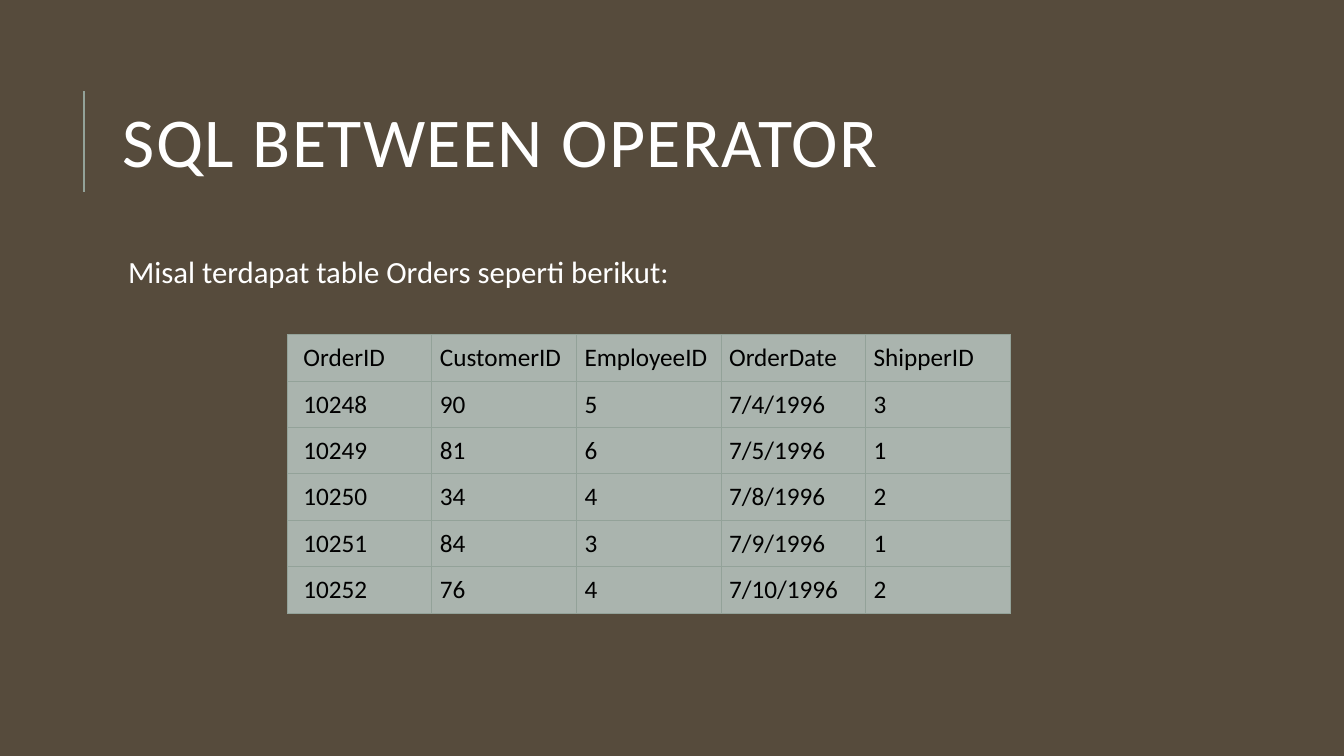
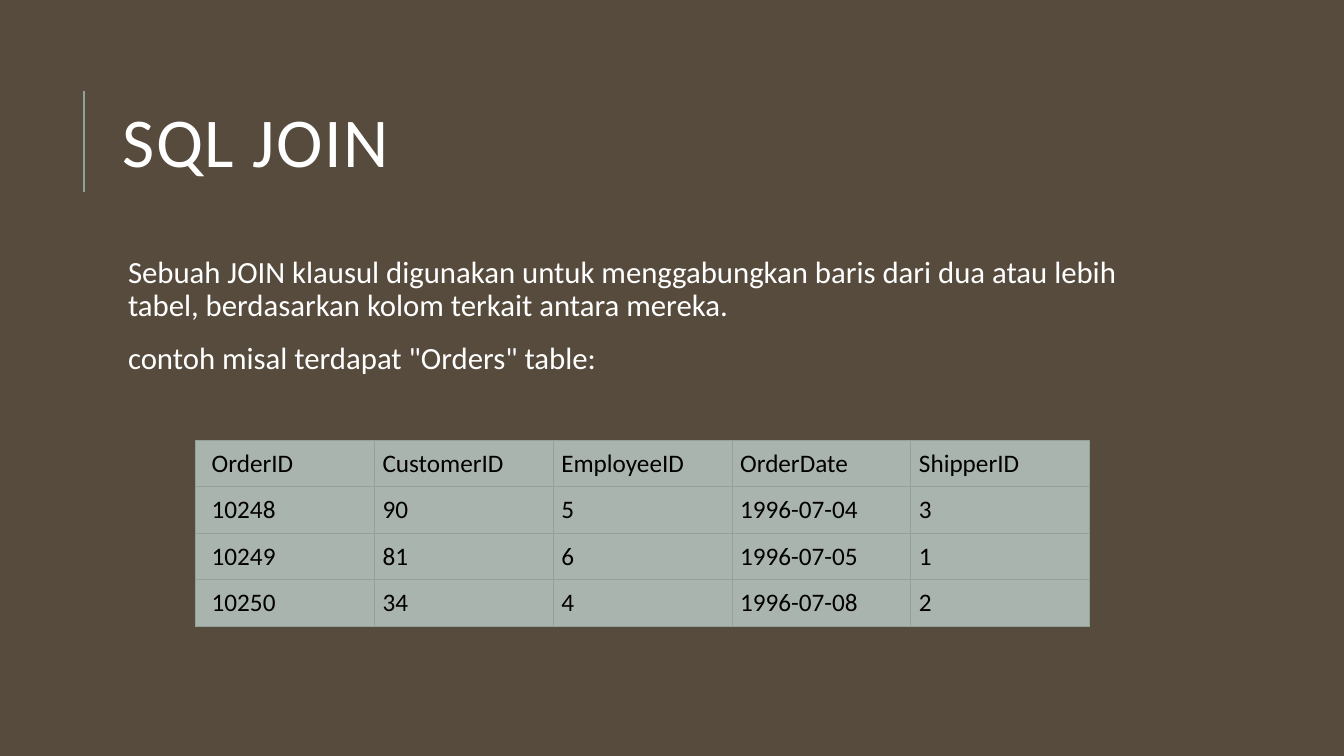
from lxml.etree import SubElement
from pptx import Presentation
from pptx.dml.color import RGBColor
from pptx.enum.shapes import MSO_CONNECTOR
from pptx.enum.text import MSO_ANCHOR
from pptx.oxml.ns import qn
from pptx.util import Inches, Pt

WIDE, HIGH = 13.33, 7.5
BROWN, SAGE, PALE = "564B3C", "93A299", "AAB4AE"
WHITE, BLACK = "FFFFFF", "000000"
LEFT, SPAN = 1.12, 10.63
RULE_X, RULE_TOP, RULE_END = 0.83, 0.9, 1.9
ROW, PAD = 0.46, 0.08

TITLE = {
    "area": (LEFT, 0.64, SPAN, 1.64),
    "frame": {"vertical_anchor": MSO_ANCHOR.MIDDLE},
    "para": {"line_spacing": 0.8},
    "size": 50,
    "track": 1,
}
BODY = {
    "area": (LEFT, 2.5, SPAN, 4.4),
    "frame": {
        "margin_left": Inches(0.15),
        "margin_right": Inches(0.05),
        "margin_top": Inches(0.05),
        "margin_bottom": Inches(0.05),
    },
    "para": {"line_spacing": 0.9, "space_after": Pt(2)},
    "gap": 12,
    "size": 22,
}

HEAD = ("OrderID", "CustomerID", "EmployeeID", "OrderDate", "ShipperID")
SLIDES = [
    {
        "title": "SQL BETWEEN OPERATOR",
        "body": ["Misal terdapat table Orders seperti berikut:"],
        "spot": (2.85, 3.32),
        "col": 1.434,
        "rows": [
            HEAD,
            ("10248", "90", "5", "7/4/1996", "3"),
            ("10249", "81", "6", "7/5/1996", "1"),
            ("10250", "34", "4", "7/8/1996", "2"),
            ("10251", "84", "3", "7/9/1996", "1"),
            ("10252", "76", "4", "7/10/1996", "2"),
        ],
    },
    {
        "title": "SQL JOIN",
        "body": [
            "Sebuah JOIN klausul digunakan untuk menggabungkan baris dari dua "
            "atau lebih tabel, berdasarkan kolom terkait antara mereka.",
            'contoh misal terdapat "Orders" table:',
        ],
        "spot": (1.94, 4.37),
        "col": 1.774,
        "rows": [
            HEAD,
            ("10248", "90", "5", "1996-07-04", "3"),
            ("10249", "81", "6", "1996-07-05", "1"),
            ("10250", "34", "4", "1996-07-08", "2"),
        ],
    },
]


def paint(color, code):
    color.rgb = RGBColor.from_string(code)


def fill(part, code):
    part.solid()
    paint(part.fore_color, code)


def apply(item, values):
    for name, value in values.items():
        setattr(item, name, value)


def style(font, size, code):
    apply(font, {"name": "Calibri", "size": Pt(size), "bold": False})
    paint(font.color, code)


def add_text(slide, lines, look):
    box = slide.shapes.add_textbox(*map(Inches, look["area"]))
    frame = box.text_frame
    apply(frame, {"word_wrap": True, **look["frame"]})
    for i, line in enumerate(lines):
        para = frame.add_paragraph() if i else frame.paragraphs[0]
        apply(para, look["para"])
        if i:
            para.space_before = Pt(look["gap"])
        run = para.add_run()
        run.text = line
        style(run.font, look["size"], WHITE)
        if "track" in look:
            run.font._element.set("spc", str(look["track"] * 100))


def add_rule(slide):
    x = Inches(RULE_X)
    rule = slide.shapes.add_connector(
        MSO_CONNECTOR.STRAIGHT, x, Inches(RULE_END), x, Inches(RULE_TOP))
    rule.line.width = Pt(1.5)
    paint(rule.line.color, SAGE)
    SubElement(rule._element.spPr, qn("a:effectLst"))


def edge(cell):
    """Draw the four borders of a cell."""
    props = cell._tc.get_or_add_tcPr()
    for side in "LRTB":
        line = SubElement(props, qn(f"a:ln{side}"), w=str(Pt(0.75)))
        solid = SubElement(line, qn("a:solidFill"))
        SubElement(solid, qn("a:srgbClr"), val=SAGE)


def add_grid(slide, rows, spot, col):
    count, wide = len(rows), len(rows[0])
    area = (*spot, col * wide, ROW * count)
    table = slide.shapes.add_table(count, wide, *map(Inches, area)).table
    apply(table, {"first_row": False, "horz_banding": False})
    for r, row in enumerate(rows):
        for c, text in enumerate(row):
            cell = table.cell(r, c)
            apply(cell, {
                "text": text,
                "margin_left": Inches(PAD if c else 2 * PAD),
                "margin_right": Inches(PAD),
                "margin_top": Inches(PAD),
                "margin_bottom": Inches(PAD),
            })
            style(cell.text_frame.paragraphs[0].runs[0].font, 18, BLACK)
            edge(cell)
            fill(cell.fill, PALE)


def main():
    deck = Presentation()
    apply(deck, {"slide_width": Inches(WIDE), "slide_height": Inches(HIGH)})
    fill(deck.slide_master.background.fill, BROWN)
    for page in SLIDES:
        slide = deck.slides.add_slide(deck.slide_layouts[6])
        add_rule(slide)
        add_text(slide, [page["title"]], TITLE)
        add_text(slide, page["body"], BODY)
        add_grid(slide, page["rows"], page["spot"], page["col"])
    deck.save("out.pptx")


if __name__ == "__main__":
    main()
